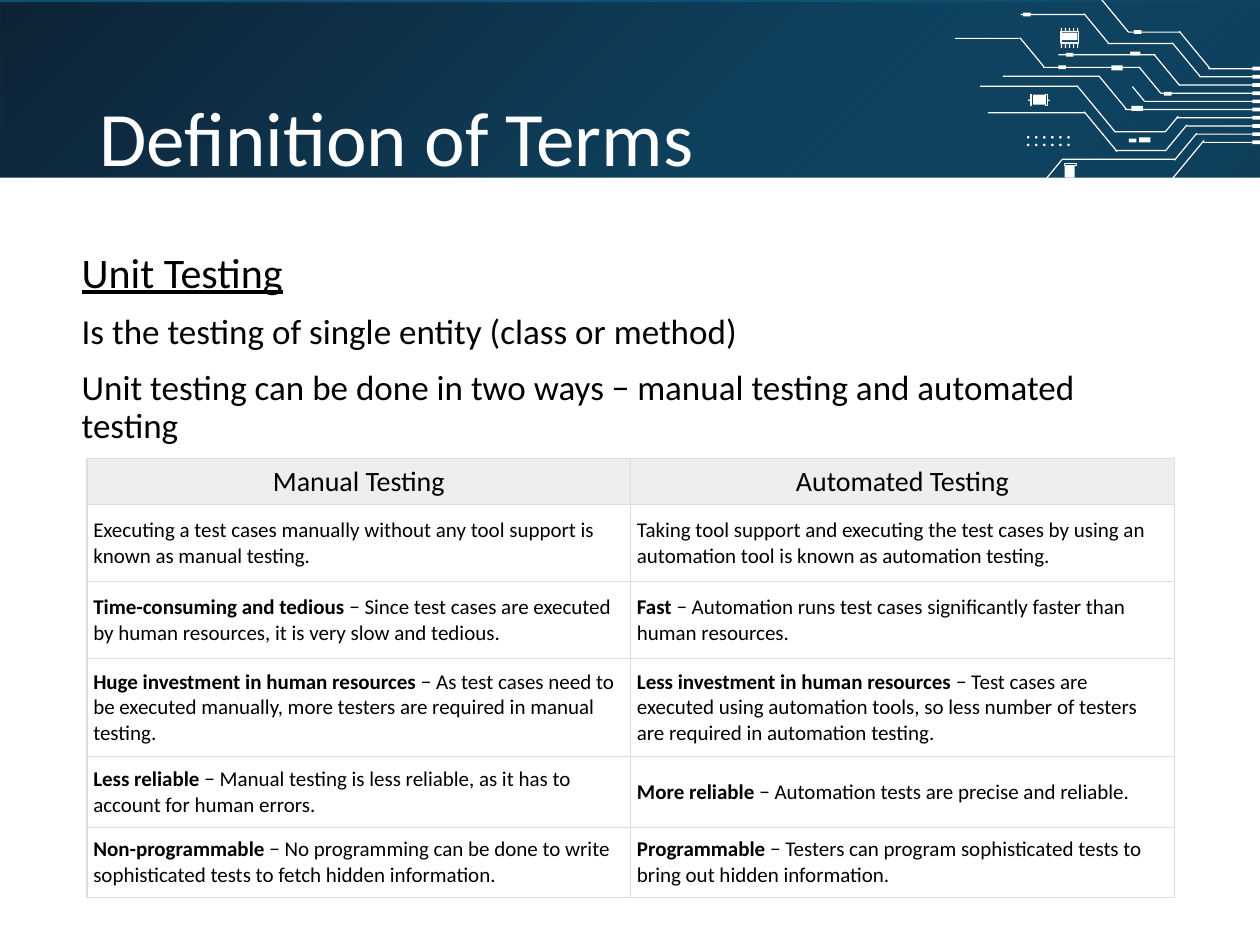
import pptx
import pptx.dml.color
import pptx.enum.shapes
import pptx.enum.text
import pptx.oxml
import pptx.oxml.ns
import pptx.util
from pptx.util import Inches

COLORS = {"base": "004962", "tint": "276195", "white": "FFFFFF", "black": "000000",
          "header": "EEEEEE", "border": "DDDDDD"}
FONT = "Calibri"
RECT = pptx.enum.shapes.MSO_SHAPE.RECTANGLE
OVAL = pptx.enum.shapes.MSO_SHAPE.OVAL
MIDDLE = pptx.enum.text.MSO_ANCHOR.MIDDLE
CENTER = pptx.enum.text.PP_ALIGN.CENTER
NS = pptx.oxml.ns.nsdecls("a")
SLOPE = 50.4

# Horizontal traces, as left, top, width
TRACES = [(8.96, 0.25, 0.41), (8.79, 0.34, 0.51), (8.4, 0.43, 0.77), (8.1, 0.11, 0.51),
          (8.28, 0.53, 0.77), (7.58, 0.3, 0.51), (7.96, 0.6, 0.77), (8.85, 1.04, 0.4),
          (7.78, 0.68, 0.77), (8.85, 1.19, 0.4), (7.84, 0.89, 0.77), (8.43, 1.26, 0.9),
          (8.16, 0.79, 0.02), (8.31, 0.79, 0.02)]
FALLING = [(9.29, 0.39, 0.38), (9.24, 0.47, 0.35), (9.1, 0.55, 0.32), (8.59, 0.08, 0.45),
           (8.55, 0.22, 0.3), (8.99, 0.63, 0.27), (8.04, 0.41, 0.3), (8.96, 0.74, 0.15),
           (8.66, 0.73, 0.34), (8.46, 0.86, 0.48), (8.53, 1.04, 0.41)]
RISING = [(9.22, 0.98, 0.16), (9.2, 1.09, 0.27), (9.27, 1.16, 0.28), (8.2, 1.37, 0.28),
          (9.13, 1.31, 0.52)]
# Left ends of the traces that run to the right edge, top to bottom
BUS_STARTS = [9.59, 9.52, 9.36, 9.21, 9.08, 8.93, 9.34, 9.42, 9.49, 9.55]
BUS_STEP = 0.065
SMALL_PADS = [(8.12, 0.1), (9, 0.24), (8.46, 0.42), (9.24, 0.73), (8.4, 0.52), (8.96, 1.1)]
LARGE_PADS = [(8.97, 0.41, 0.08, 0.03), (8.82, 0.52, 0.09, 0.04),
              (8.98, 0.84, 0.09, 0.04), (9.04, 1.09, 0.09, 0.04)]

HEADINGS = ["Manual Testing", "Automated Testing"]
# Each cell is a bold lead and the rest
COMPARISON = [
    [("", "Executing a test cases manually without any tool support is known as manual testing."),
     ("", "Taking tool support and executing the test cases by using an automation tool is "
          "known as automation testing.")],
    [("Time-consuming and tedious", "\u00a0− Since test cases are executed by human resources, "
      "it is very slow and tedious."),
     ("Fast", "\u00a0− Automation runs test cases significantly faster than human resources.")],
    [("Huge investment in human resources", "\u00a0− As test cases need to be executed manually, "
      "more testers are required in manual testing."),
     ("Less investment in human resources", "\u00a0− Test cases are executed using automation "
      "tools, so less number of testers are required in automation testing.")],
    [("Less reliable", "\u00a0− Manual testing is less reliable, as it has to account for "
      "human errors."),
     ("More reliable", "\u00a0− Automation tests are precise and reliable.")],
    [("Non-programmable", "\u00a0− No programming can be done to write sophisticated tests to "
      "fetch hidden information."),
     ("Programmable", "\u00a0− Testers can program sophisticated tests to bring out hidden "
      "information.")],
]
ROW_HEIGHTS = [0.34, 0.61, 0.61, 0.78, 0.56, 0.56]


def rgb(name):
    return pptx.dml.color.RGBColor.from_string(COLORS[name])


def apply(target, values):
    for key, value in values.items():
        setattr(target, key, value)


def add_block(slide, left, top, width, height, color="white", kind=RECT, rotation=0, outline=0):
    block = slide.shapes.add_shape(kind, *map(Inches, (left, top, width, height)))
    block.shadow.inherit = False
    block.rotation = rotation
    if outline:
        block.fill.background()
        block.line.color.rgb = rgb(color)
        block.line.width = pptx.util.Pt(outline)
    else:
        block.fill.solid()
        block.fill.fore_color.rgb = rgb(color)
        block.line.fill.background()
    return block


def add_run(paragraph, text, size, color="black", **formats):
    run = paragraph.add_run()
    run.text = text
    apply(run.font, {"name": FONT, "size": pptx.util.Pt(size), **formats})
    run.font.color.rgb = rgb(color)


def add_text(slide, box, lines, space=0, **frame_values):
    frame = slide.shapes.add_textbox(*map(Inches, box)).text_frame
    apply(frame, {"word_wrap": True, **frame_values})
    for index, (text, size, formats) in enumerate(lines):
        paragraph = frame.add_paragraph() if index else frame.paragraphs[0]
        apply(paragraph, {"line_spacing": 0.9, "space_before": pptx.util.Pt(space)})
        add_run(paragraph, text, size, **formats)


def add_shade(slide, top, height, angle):
    shade = add_block(slide, 0, top, 10, height, "black")
    solid = shade.fill._xPr.find(pptx.oxml.ns.qn("a:solidFill"))
    stops = "".join(
        f'<a:gs pos="{position * 1000}"><a:srgbClr val="{COLORS["black"]}">'
        f'<a:alpha val="{alpha * 1000}"/></a:srgbClr></a:gs>'
        for position, alpha in [(0, 100), (60, 0), (100, 0)])
    solid.getparent().replace(solid, pptx.oxml.parse_xml(
        f'<a:gradFill {NS} rotWithShape="1"><a:gsLst>{stops}</a:gsLst>'
        f'<a:lin ang="{angle * 60000}" scaled="0"/></a:gradFill>'))


def add_backdrop(slide):
    slide.background.fill.solid()
    slide.background.fill.fore_color.rgb = rgb("base")
    add_shade(slide, 0, 7.49, 225)
    add_shade(slide, 0.02, 7.48, 45)
    tint = add_block(slide, 0, 0, 10, 7.49, "tint")
    color = tint.fill._xPr.find(".//" + pptx.oxml.ns.qn("a:srgbClr"))
    color.append(pptx.oxml.parse_xml(f'<a:alpha {NS} val="36000"/>'))


def add_circuit(slide):
    # Traces
    for traces, rotation in [(TRACES, 0), (FALLING, SLOPE), (RISING, 360 - SLOPE)]:
        for left, top, width in traces:
            add_block(slide, left, top, width, 0.01, rotation=rotation)
    for index, left in enumerate(BUS_STARTS):
        add_block(slide, left, 0.54 + index * BUS_STEP, 10 - left, 0.01)
        add_block(slide, 9.94, 0.53 + index * BUS_STEP, 0.06, 0.03)
    # Pads
    for left, top in SMALL_PADS:
        add_block(slide, left, top, 0.06, 0.03)
    for pad in LARGE_PADS:
        add_block(slide, *pad)
    # Chip with pins
    add_block(slide, 8.43, 0.26, 0.12, 0.06)
    add_block(slide, 8.42, 0.25, 0.14, 0.09, outline=1)
    for column in range(5):
        for top in (0.23, 0.36):
            add_block(slide, 8.41 + column * 0.032, top, 0.03, 0.01, rotation=270)
    # Capacitors
    add_block(slide, 8.2, 0.75, 0.1, 0.08)
    add_block(slide, 8.44, 1.32, 0.1, 0.08, rotation=270)
    for left, top, rotation in [(8.3, 0.75, 0), (8.18, 0.75, 0), (8.49, 1.26, 270),
                                (8.49, 1.38, 270)]:
        add_block(slide, left, top, 0.01, 0.09, rotation=rotation, outline=0.5)
    # Dot grid
    for column in range(6):
        for top in (1.08, 1.14):
            add_block(slide, 8.15 + column * 0.064, top, 0.02, 0.02, kind=OVAL)


def format_cell(cell, fill=None):
    margins = ("margin_left", "margin_right", "margin_top", "margin_bottom")
    apply(cell, {"vertical_anchor": MIDDLE, **dict.fromkeys(margins, Inches(0.05))})
    if fill:
        cell.fill.solid()
        cell.fill.fore_color.rgb = rgb(fill)
    else:
        cell.fill.background()
    for index, side in enumerate("LRTB"):
        cell._tc.tcPr.insert(index, pptx.oxml.parse_xml(
            f'<a:ln{side} {NS} w="9525"><a:solidFill><a:srgbClr val="{COLORS["border"]}"/>'
            f'</a:solidFill></a:ln{side}>'))


def add_comparison(slide):
    table = slide.shapes.add_table(len(ROW_HEIGHTS), len(HEADINGS), Inches(0.69), Inches(3.64),
                                   Inches(8.63), Inches(sum(ROW_HEIGHTS))).table
    apply(table, {"first_row": False, "horz_banding": False})
    for row, height in zip(table.rows, ROW_HEIGHTS):
        row.height = Inches(height)
    for column, heading in enumerate(HEADINGS):
        cell = table.cell(0, column)
        format_cell(cell, "header")
        paragraph = cell.text_frame.paragraphs[0]
        paragraph.alignment = CENTER
        add_run(paragraph, heading, 16)
    for row, entries in enumerate(COMPARISON, 1):
        for column, (lead, rest) in enumerate(entries):
            cell = table.cell(row, column)
            format_cell(cell)
            paragraph = cell.text_frame.paragraphs[0]
            if lead:
                add_run(paragraph, lead, 12, bold=True)
            add_run(paragraph, rest, 12, bold=False)


def main():
    deck = pptx.Presentation()
    apply(deck, {"slide_width": Inches(10), "slide_height": Inches(7.5)})
    slide = deck.slides.add_slide(deck.slide_layouts[6])
    add_backdrop(slide)
    add_circuit(slide)
    add_block(slide, 0, 1.41, 10, 6.09)
    add_text(slide, (0.69, 0.4, 8.62, 1.45),
             [("Definition of Terms", 44, {"color": "white"})], vertical_anchor=MIDDLE)
    add_text(slide, (0.55, 1.95, 8.62, 4.76), [
        ("Unit Testing", 24, {"underline": True}),
        ("Is the testing of single entity (class or method)", 20, {}),
        ("Unit testing can be done in two ways − manual testing and automated testing", 20, {}),
    ], space=10)
    add_comparison(slide)
    deck.save("out.pptx")


main()
